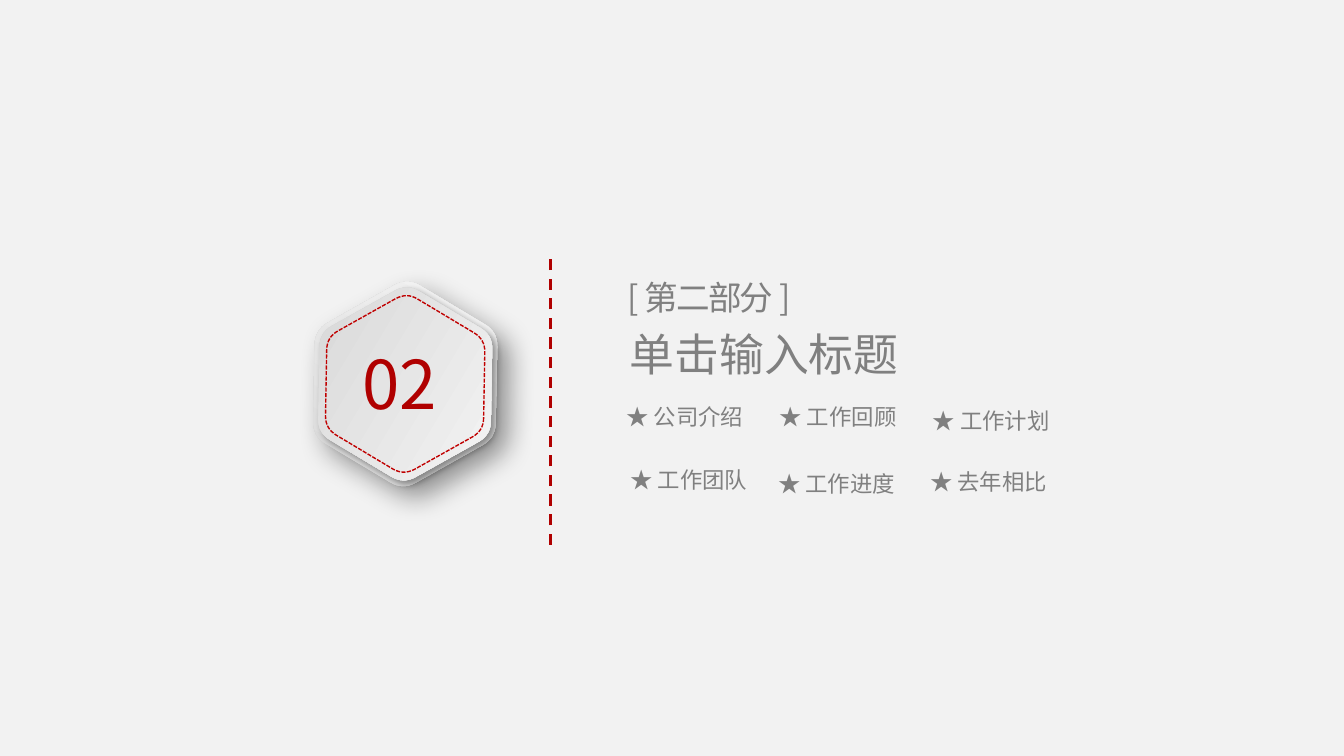
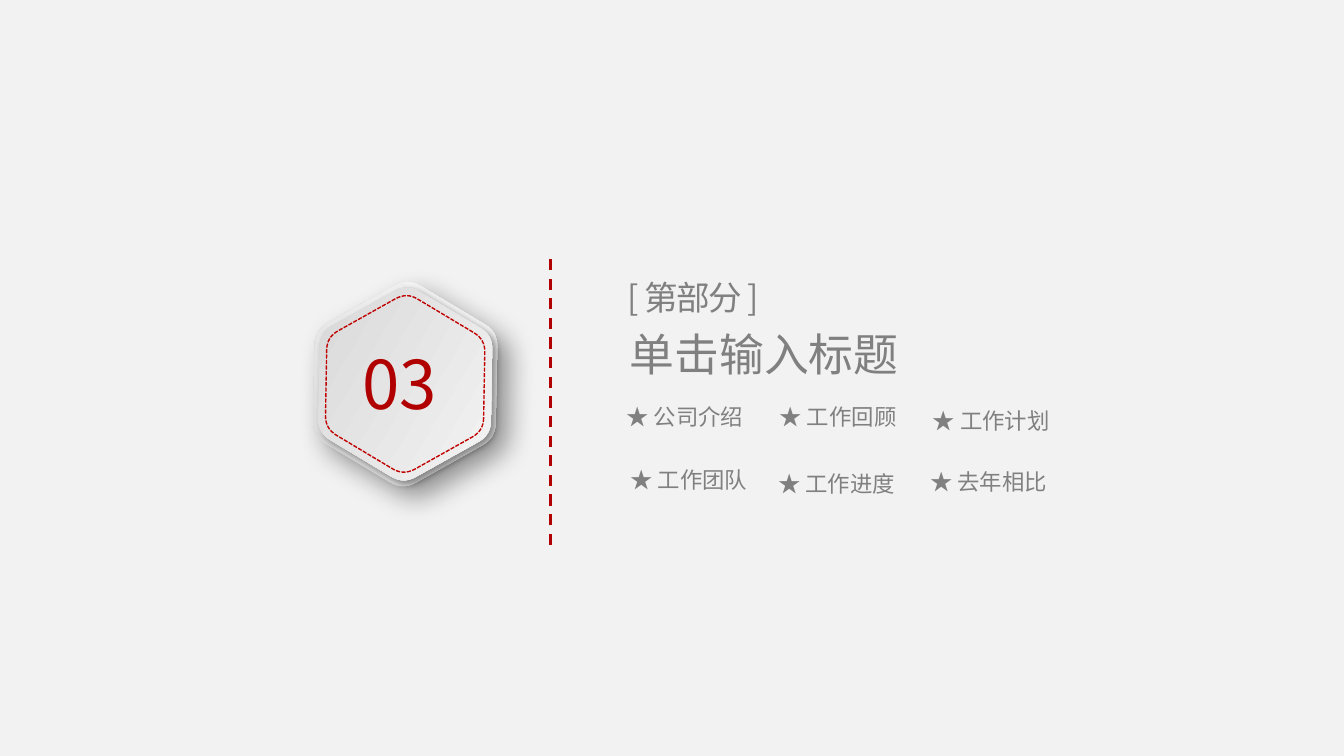
import math

from lxml import etree
from pptx import Presentation
from pptx.dml.color import RGBColor
from pptx.enum.dml import MSO_LINE
from pptx.enum.shapes import MSO_CONNECTOR
from pptx.enum.text import MSO_AUTO_SIZE
from pptx.oxml.ns import qn
from pptx.util import Inches, Pt

STRAIGHT = MSO_CONNECTOR.STRAIGHT
DASH, FINE_DASH = MSO_LINE.DASH, MSO_LINE.SQUARE_DOT
FIT_TEXT = MSO_AUTO_SIZE.SHAPE_TO_FIT_TEXT

SLIDE_W = Inches(10)
SLIDE_H = SLIDE_W * 9 // 16
CELL = SLIDE_W / 100  # the grid has 100 columns, with square cells
FONT = "Noto Sans CJK SC"
COLORS = {
    "background": "F2F2F2",
    "number": "B00000",
    "stitch": "C00000",
    "text": "808080",
    "metal_dark": "D3D3D3",
    "metal_light": "F9F9F9",
    "shadow": "000000",
}

BADGE_CENTER = (30.15, 28.57)
BADGE_TILT = 30.9
CORNER_CUT = 0.14  # share of a hexagon side that is rounded off at each end
CORNER_STEPS = 8

TOPICS = [  # text, left, top, width
    ("公司介绍", 45.9, 29.7, 11.2),
    ("工作回顾", 57.3, 29.7, 10.8),
    ("工作计划", 68.7, 30, 11.2),
    ("工作团队", 46.2, 34.4, 10.8),
    ("工作进度", 57.2, 34.7, 10.8),
    ("去年相比", 68.5, 34.5, 10.8),
]
SECTIONS = [("02", "[ 第二部分 ]"), ("03", "[ 第部分 ]")]


def cells(count):
    return round(count * CELL)


def color(role):
    return RGBColor.from_string(COLORS[role])


def rounded_hexagon():
    """Points of a hexagon with radius 1 whose corners are quadratic curves."""
    corners = [(math.cos(math.radians(a)), math.sin(math.radians(a)))
               for a in range(0, 360, 60)]
    points = []
    for i, corner in enumerate(corners):
        before, after = corners[i - 1], corners[(i + 1) % 6]
        for step in range(CORNER_STEPS + 1):
            t = step / CORNER_STEPS
            points.append(tuple(
                c + CORNER_CUT * ((1 - t) ** 2 * (b - c) + t ** 2 * (a - c))
                for b, c, a in zip(before, corner, after)))
    return points


def add_hexagon(slide, width, height):
    outline = rounded_hexagon()
    x_scale = width / 2 / max(x for x, _ in outline)
    y_scale = height / 2 / max(y for _, y in outline)
    points = [(cells(BADGE_CENTER[0] + x * x_scale), cells(BADGE_CENTER[1] + y * y_scale))
              for x, y in outline]
    builder = slide.shapes.build_freeform(*points[0])
    builder.add_line_segments(points[1:], close=True)
    hexagon = builder.convert_to_shape()
    hexagon.rotation = BADGE_TILT
    hexagon.shadow.inherit = False
    return hexagon


def add_metal_plate(slide, width, height, angle, blur, distance):
    """Hexagon with a grey gradient and a shadow to the lower right."""
    plate = add_hexagon(slide, width, height)
    plate.line.fill.background()
    plate.fill.gradient()
    plate.fill.gradient_angle = angle
    for stop, role in zip(plate.fill.gradient_stops, ("metal_dark", "metal_light")):
        stop.color.rgb = color(role)
    effects = plate._element.spPr.find(qn("a:effectLst"))
    shadow = etree.SubElement(effects, qn("a:outerShdw"), blurRad=str(Pt(blur)),
                              dist=str(Pt(distance)), dir="2700000", algn="tl",
                              rotWithShape="0")
    tint = etree.SubElement(shadow, qn("a:srgbClr"), val=COLORS["shadow"])
    etree.SubElement(tint, qn("a:alpha"), val="40000")


def add_badge(slide, number):
    add_metal_plate(slide, 15.1, 13.7, angle=90, blur=15, distance=9)
    add_metal_plate(slide, 14.3, 12.9, angle=0, blur=4, distance=3)
    stitch = add_hexagon(slide, 13.1, 11.8)
    stitch.fill.background()
    stitch.line.color.rgb = color("stitch")
    stitch.line.width = Pt(0.75)
    stitch.line.dash_style = FINE_DASH
    add_label(slide, number, (26, 25, 8.3, 7.1), 36, "number", margins=(1, 0.5))


def add_label(slide, text, box, size, role="text", margins=(0.7, 0.3), spacing=None):
    label = slide.shapes.add_textbox(*map(cells, box))
    frame = label.text_frame
    frame.word_wrap = True
    frame.auto_size = FIT_TEXT
    frame.margin_left = frame.margin_right = cells(margins[0])
    frame.margin_top = frame.margin_bottom = cells(margins[1])
    frame.text = text
    run = frame.paragraphs[0].runs[0]
    run.font.size = Pt(size)
    run.font.name = FONT
    run.font.color.rgb = color(role)
    properties = run.font._element
    etree.SubElement(properties, qn("a:ea"), typeface=FONT)
    if spacing is not None:
        properties.set("spc", str(round(spacing * 100)))


def add_divider(slide):
    divider = slide.shapes.add_connector(
        STRAIGHT, cells(40.95), cells(40.55), cells(40.95), cells(18.75))
    divider.line.color.rgb = color("number")
    divider.line.width = Pt(1.5)
    divider.line.dash_style = DASH
    etree.SubElement(divider._element.spPr, qn("a:effectLst"))


def add_topics(slide):
    for topic, left, top, width in TOPICS:
        add_label(slide, f"★ {topic}", (left, top, width, 2.7), 12)


def add_section_slide(prs, number, part):
    slide = prs.slides.add_slide(prs.slide_layouts[6])
    add_badge(slide, number)
    add_label(slide, "单击输入标题", (46.15, 24, 22.1, 4.7), 24)
    add_topics(slide)
    add_label(slide, part, (46, 20.3, 16.8, 3.7), 18, spacing=-1)
    add_divider(slide)


def main():
    prs = Presentation()
    prs.slide_width, prs.slide_height = SLIDE_W, SLIDE_H
    backdrop = prs.slide_master.background.fill
    backdrop.solid()
    backdrop.fore_color.rgb = color("background")
    for number, part in SECTIONS:
        add_section_slide(prs, number, part)
    prs.save("out.pptx")


if __name__ == "__main__":
    main()
